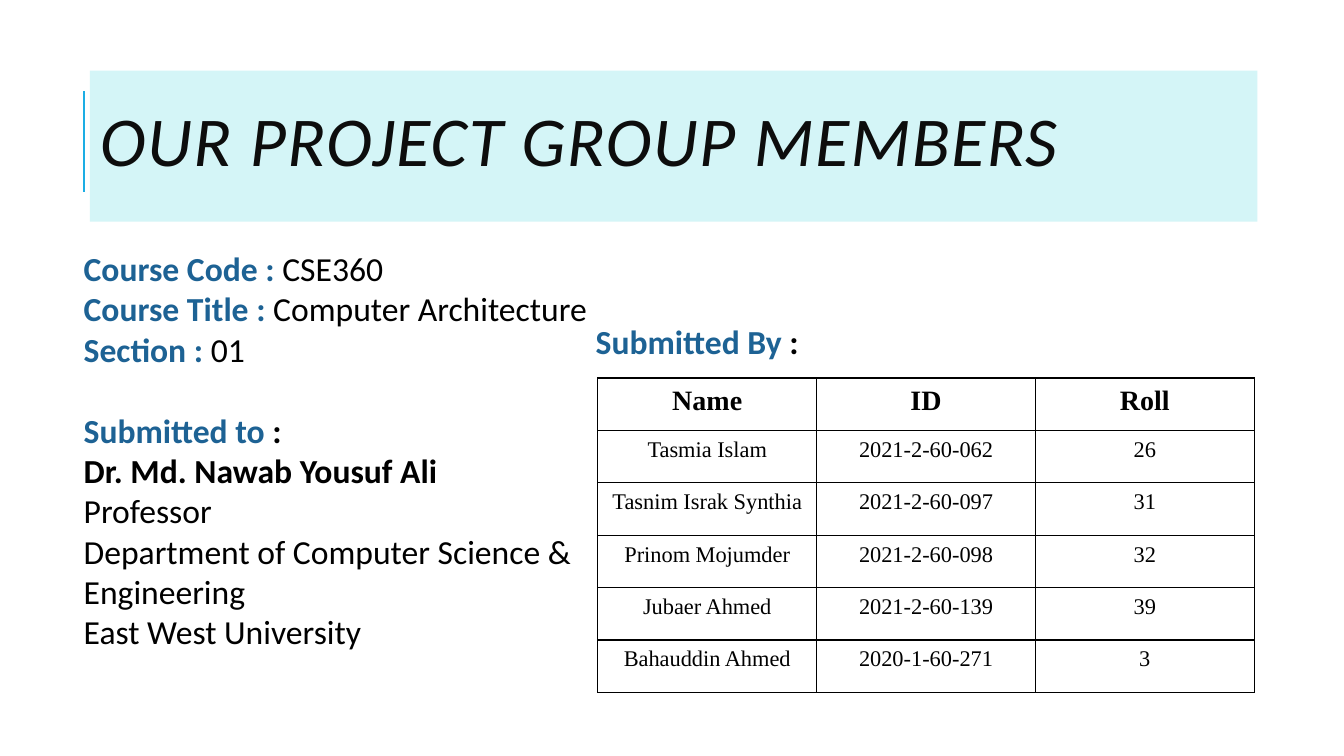
"""Build the project group members slide."""
from dataclasses import dataclass

import lxml.etree
import pptx
import pptx.dml.color
import pptx.enum.shapes
import pptx.enum.text
import pptx.oxml.ns
import pptx.util

Inches = pptx.util.Inches
Pt = pptx.util.Pt
Align = pptx.enum.text.PP_ALIGN
Anchor = pptx.enum.text.MSO_ANCHOR


@dataclass(frozen=True)
class Theme:
    sans: str = "Calibri"
    serif: str = "Times New Roman"
    ink: str = "000000"
    head: str = "0D0D0D"
    label: str = "1D6294"
    band: str = "D4F5F7"
    rule: str = "1CADE4"
    title: int = 50
    text: int = 24
    top: int = 20
    cell: int = 16


def color(code):
    return pptx.dml.color.RGBColor.from_string(code)


def child(node, tag, **attrs):
    return lxml.etree.SubElement(node, pptx.oxml.ns.qn(tag), **attrs)


class Slide:
    def __init__(self, deck, theme):
        self.theme = theme
        self.page = deck.slides.add_slide(deck.slide_layouts[1])

    def run(self, para, text, size, code, bold=False, face=None):
        run = para.add_run()
        run.text = text
        font = run.font
        font.name = face or self.theme.sans
        font.size = Pt(size)
        font.bold = bold
        font.color.rgb = color(code)
        return run

    def place(self, shape, box):
        shape.left, shape.top, shape.width, shape.height = map(Inches, box)
        frame = shape.text_frame
        frame.word_wrap = True
        frame.auto_size = pptx.enum.text.MSO_AUTO_SIZE.NONE
        return frame

    def title(self, text, box):
        shape = self.page.shapes.title
        frame = self.place(shape, box)
        frame.vertical_anchor = Anchor.MIDDLE
        shape.fill.solid()
        shape.fill.fore_color.rgb = color(self.theme.band)
        para = frame.paragraphs[0]
        para.alignment = Align.LEFT
        para.line_spacing = 0.8
        run = self.run(para, text, self.theme.title, self.theme.head)
        run.font.italic = True
        run.font._element.set("spc", "100")

    def rule(self, start, end):
        line = self.page.shapes.add_connector(
            pptx.enum.shapes.MSO_CONNECTOR.STRAIGHT,
            *map(Inches, start + end))
        line.line.color.rgb = color(self.theme.rule)
        line.line.width = Pt(1.5)
        child(line._element.spPr, "a:effectLst")

    def lines(self, frame, rows):
        for index, (gap, label, text, bold) in enumerate(rows):
            para = frame.paragraphs[0] if index == 0 else frame.add_paragraph()
            para.alignment = Align.LEFT
            para.space_before = Pt(gap)
            props = para._p.get_or_add_pPr()
            props.set("marL", "0")
            props.set("indent", "0")
            child(props, "a:buNone")
            size = self.theme.text
            if label:
                self.run(para, label, size, self.theme.label, True)
            self.run(para, text, size, self.theme.ink, bold)

    def body(self, rows, box):
        frame = self.place(self.page.placeholders[1], box)
        frame.vertical_anchor = Anchor.TOP
        self.lines(frame, rows)

    def note(self, rows, box):
        shape = self.page.shapes.add_textbox(*map(Inches, box))
        self.lines(self.place(shape, box), rows)

    def cell(self, cell, text, top):
        cell.margin_left = cell.margin_right = Inches(0.07)
        cell.margin_top = cell.margin_bottom = Inches(0.07)
        para = cell.text_frame.paragraphs[0]
        para.alignment = Align.CENTER
        size = self.theme.top if top else self.theme.cell
        self.run(para, text, size, self.theme.ink, top, self.theme.serif)
        props = cell._tc.get_or_add_tcPr()
        for side in ("a:lnL", "a:lnR", "a:lnT", "a:lnB"):
            edge = child(props, side, w=str(Pt(1)))
            child(child(edge, "a:solidFill"), "a:srgbClr", val=self.theme.ink)
        cell.fill.background()

    def table(self, rows, box):
        table = self.page.shapes.add_table(
            len(rows), len(rows[0]), *map(Inches, box)).table
        table.horz_banding = False
        for down, row in enumerate(rows):
            for over, text in enumerate(row):
                self.cell(table.cell(down, over), text, down == 0)


def main():
    deck = pptx.Presentation()
    deck.slide_width = Inches(13.33)
    deck.slide_height = Inches(7.5)
    slide = Slide(deck, Theme())
    slide.rule((0.83, 1.9), (0.83, 0.9))
    slide.title("OUR PROJECT GROUP MEMBERS", (0.89, 0.7, 11.58, 1.5))
    slide.table([
        ("Name", "ID", "Roll"),
        ("Tasmia Islam", "2021-2-60-062", "26"),
        ("Tasnim Israk Synthia", "2021-2-60-097", "31"),
        ("Prinom Mojumder", "2021-2-60-098", "32"),
        ("Jubaer Ahmed", "2021-2-60-139", "39"),
        ("Bahauddin Ahmed", "2020-1-60-271", "3"),
    ], (5.93, 3.75, 6.51, 3.12))
    slide.body([
        (0, "Course Code : ", "CSE360", False),
        (0, "Course Title : ", "Computer Architecture", False),
        (0, "Section : ", "01", False),
        (29, "Submitted to ", ":", True),
        (0, "", "Dr. Md. Nawab Yousuf Ali", True),
        (0, "", "Professor", False),
        (0, "", "Department of Computer Science & Engineering", False),
        (0, "", "East West University", False),
    ], (0.73, 2.41, 5.44, 4.75))
    slide.note([(0, "Submitted By ", ":", True)], (5.81, 3.13, 5.82, 0.5))
    deck.save("out.pptx")


if __name__ == "__main__":
    main()
